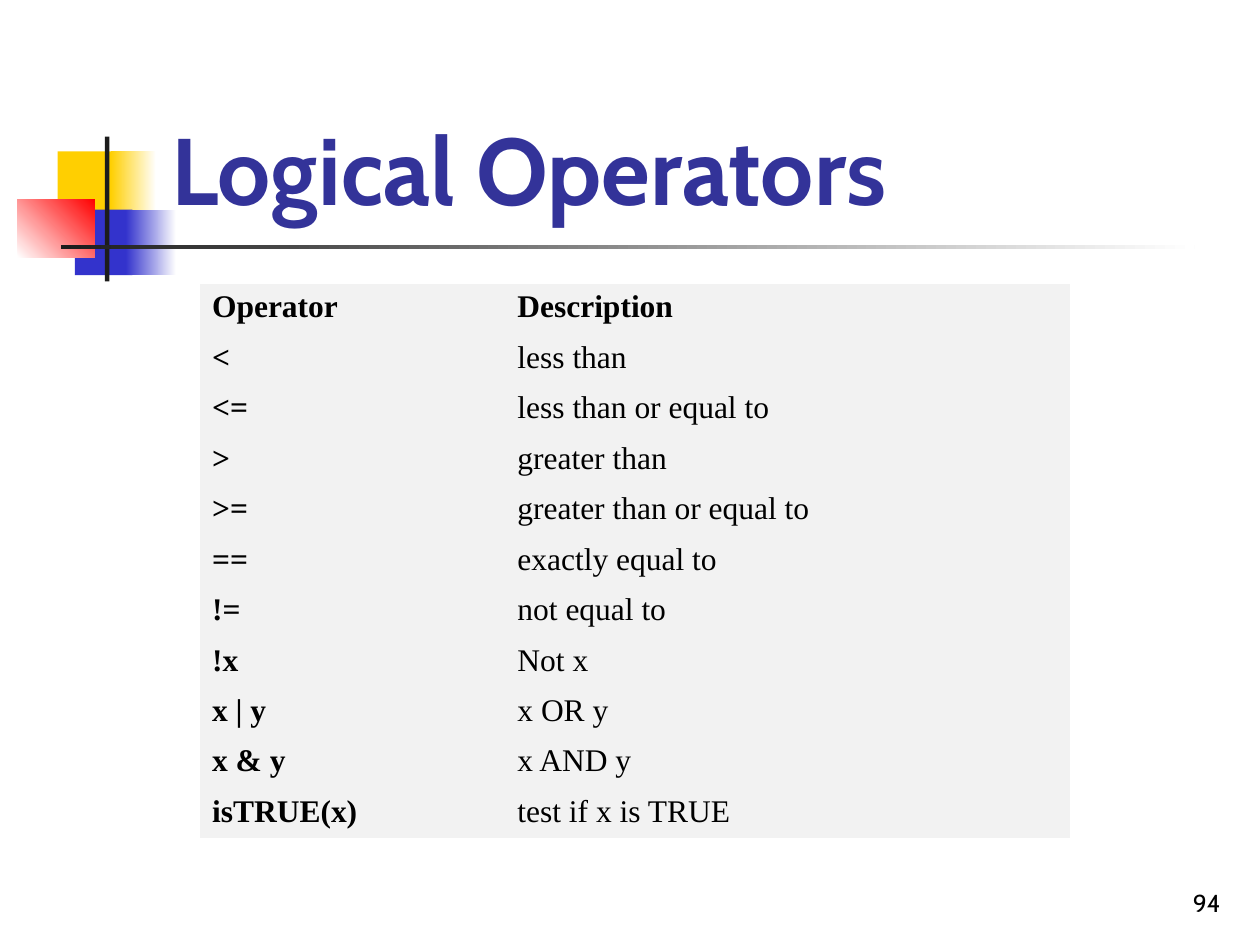
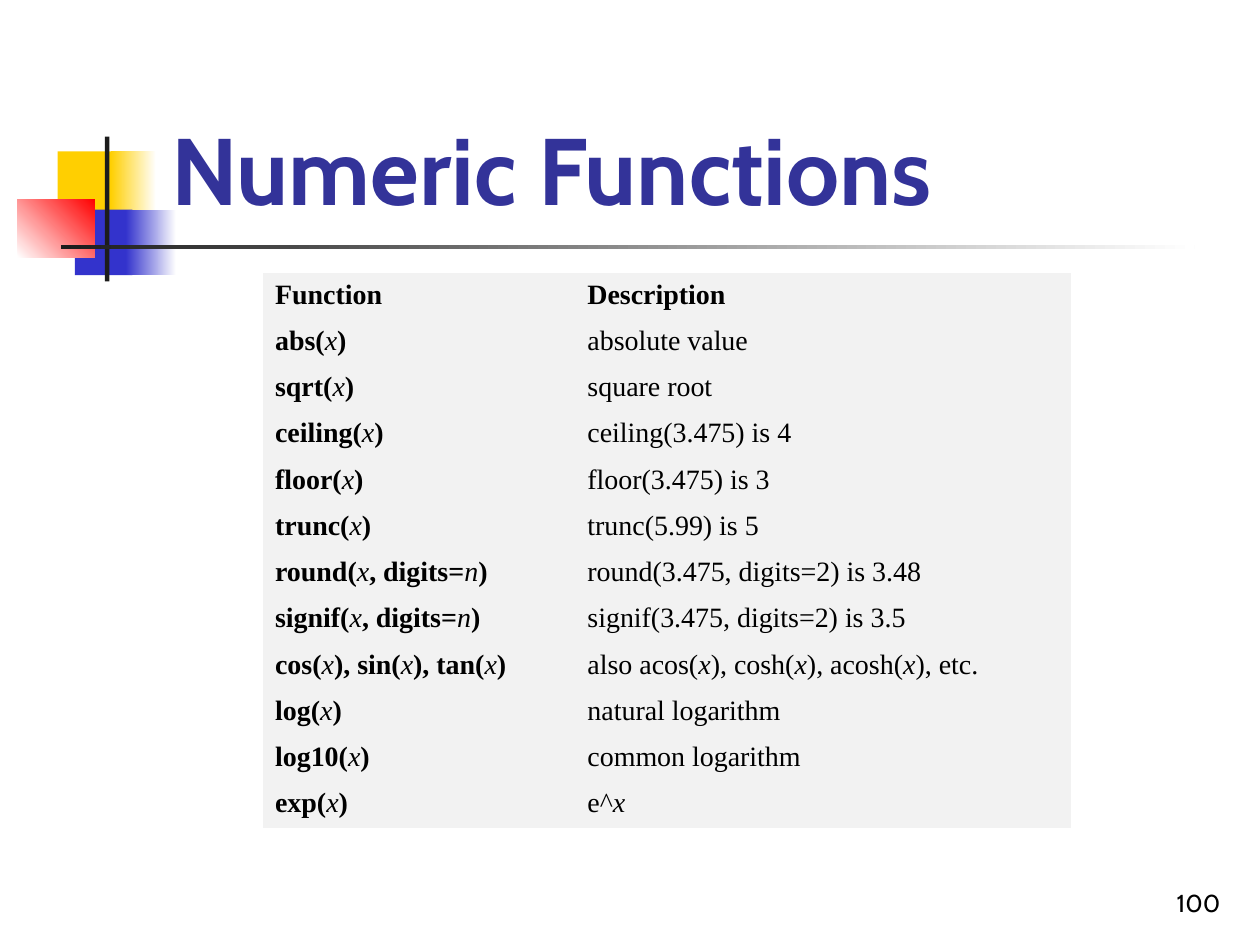
from dataclasses import dataclass

from pptx import Presentation
from pptx.dml.color import RGBColor
from pptx.enum.shapes import MSO_SHAPE
from pptx.enum.text import MSO_ANCHOR, PP_ALIGN
from pptx.oxml.ns import qn
from pptx.util import Pt


@dataclass(frozen=True)
class Theme:
    white: str = "FFFFFF"
    yellow: str = "FFCF01"
    blue: str = "3333CC"
    red: str = "FF0000"
    rule: str = "1C1C1C"
    title: str = "333399"
    text: str = "000000"
    cell: str = "F2F2F2"
    heading_font: str = "Cabin"
    table_font: str = "Times New Roman"
    title_size: int = 54
    number_size: int = 14


THEME = Theme()
NO_STYLE_NO_GRID = "{2D5ABB26-0587-4C30-8999-92F81FD0307C}"

# left, top, width, height, colours (two make a gradient), gradient angle
ORNAMENT = [
    (33, 86.5, 34.5, 37.5, [THEME.yellow], 0),
    (63.25, 86.5, 26, 37.5, [THEME.yellow, THEME.white], 0),
    (42.75, 119.75, 33, 37.5, [THEME.blue], 0),
    (72, 119.75, 28.75, 37.5, [THEME.blue, THEME.white], 0),
    (10, 113.75, 44.25, 33.5, [THEME.white, THEME.red], 45),
    (60, 78, 2.5, 82.75, [THEME.rule], 0),
    (34.75, 140, 648, 2.5, [THEME.rule, THEME.white], 0),
]

# Asterisks enclose italic text in the rows
SLIDES = [
    {
        "title": "Logical Operators",
        "number": "94",
        "left": 114, "top": 162, "columns": (174.5, 323), "row_height": 28.8,
        "size": 18,
        "rows": [
            ("Operator", "Description"),
            ("<", "less than"),
            ("<=", "less than or equal to"),
            (">", "greater than"),
            (">=", "greater than or equal to"),
            ("==", "exactly equal to"),
            ("!=", "not equal to"),
            ("!x", "Not x"),
            ("x | y", "x OR y"),
            ("x & y", "x AND y"),
            ("isTRUE(x)", "test if x is TRUE"),
        ],
    },
    {
        "title": "Numeric Functions",
        "number": "100",
        "left": 150, "top": 156, "columns": (178.5, 283.5), "row_height": 26.4,
        "size": 16,
        "rows": [
            ("Function", "Description"),
            ("abs(*x*)", "absolute value"),
            ("sqrt(*x*)", "square root"),
            ("ceiling(*x*)", "ceiling(3.475) is 4"),
            ("floor(*x*)", "floor(3.475) is 3"),
            ("trunc(*x*)", "trunc(5.99) is 5"),
            ("round(*x*, digits=*n*)", "round(3.475, digits=2) is 3.48"),
            ("signif(*x*, digits=*n*)", "signif(3.475, digits=2) is 3.5"),
            ("cos(*x*), sin(*x*), tan(*x*)",
             "also acos(*x*), cosh(*x*), acosh(*x*), etc."),
            ("log(*x*)", "natural logarithm"),
            ("log10(*x*)", "common logarithm"),
            ("exp(*x*)", "e^*x*"),
        ],
    },
]


def add_run(paragraph, text, font, size, color, bold=False, italic=False):
    run = paragraph.add_run()
    run.text = text
    run.font.name = font
    run.font.size = Pt(size)
    run.font.color.rgb = RGBColor.from_string(color)
    run.font.bold = bold
    run.font.italic = italic


def add_bottom_text(slide, left, top, width, height):
    """Add a bottom-anchored text box and return its first paragraph."""
    frame = slide.shapes.add_textbox(Pt(left), Pt(top), Pt(width), Pt(height)).text_frame
    frame.word_wrap = True
    frame.vertical_anchor = MSO_ANCHOR.BOTTOM
    return frame.paragraphs[0]


deck = Presentation()
deck.slide_width, deck.slide_height = Pt(720), Pt(540)

for topic in SLIDES:
    slide = deck.slides.add_slide(deck.slide_layouts[6])

    for left, top, width, height, colors, angle in ORNAMENT:
        block = slide.shapes.add_shape(
            MSO_SHAPE.RECTANGLE, Pt(left), Pt(top), Pt(width), Pt(height))
        block.shadow.inherit = False
        block.line.fill.background()
        if len(colors) == 1:
            block.fill.solid()
            block.fill.fore_color.rgb = RGBColor.from_string(colors[0])
        else:
            block.fill.gradient()
            block.fill.gradient_angle = angle
            for stop, color in zip(block.fill.gradient_stops, colors):
                stop.color.rgb = RGBColor.from_string(color)

    number = add_bottom_text(slide, 554.5, 492, 150, 36)
    number.alignment = PP_ALIGN.RIGHT
    add_run(number, topic["number"], THEME.heading_font, THEME.number_size, THEME.text)

    title = add_bottom_text(slide, 90.75, 16.5, 613.5, 115.25)
    add_run(title, topic["title"], THEME.heading_font, THEME.title_size, THEME.title,
            bold=True)

    rows, columns = topic["rows"], topic["columns"]
    table = slide.shapes.add_table(
        len(rows), len(columns), Pt(topic["left"]), Pt(topic["top"]),
        Pt(sum(columns)), Pt(topic["row_height"] * len(rows))).table
    table.first_row = table.horz_banding = False
    table._tbl.tblPr.find(qn("a:tableStyleId")).text = NO_STYLE_NO_GRID
    for column, width in zip(table.columns, columns):
        column.width = Pt(width)

    for r, entries in enumerate(rows):
        table.rows[r].height = Pt(topic["row_height"])
        for c, entry in enumerate(entries):
            cell = table.cell(r, c)
            cell.fill.solid()
            cell.fill.fore_color.rgb = RGBColor.from_string(THEME.cell)
            for i, part in enumerate(entry.split("*")):
                italic = i % 2 == 1
                if part:
                    add_run(cell.text_frame.paragraphs[0], part, THEME.table_font,
                            topic["size"], THEME.text,
                            bold=(r == 0 or c == 0) and not italic, italic=italic)

deck.save("out.pptx")
